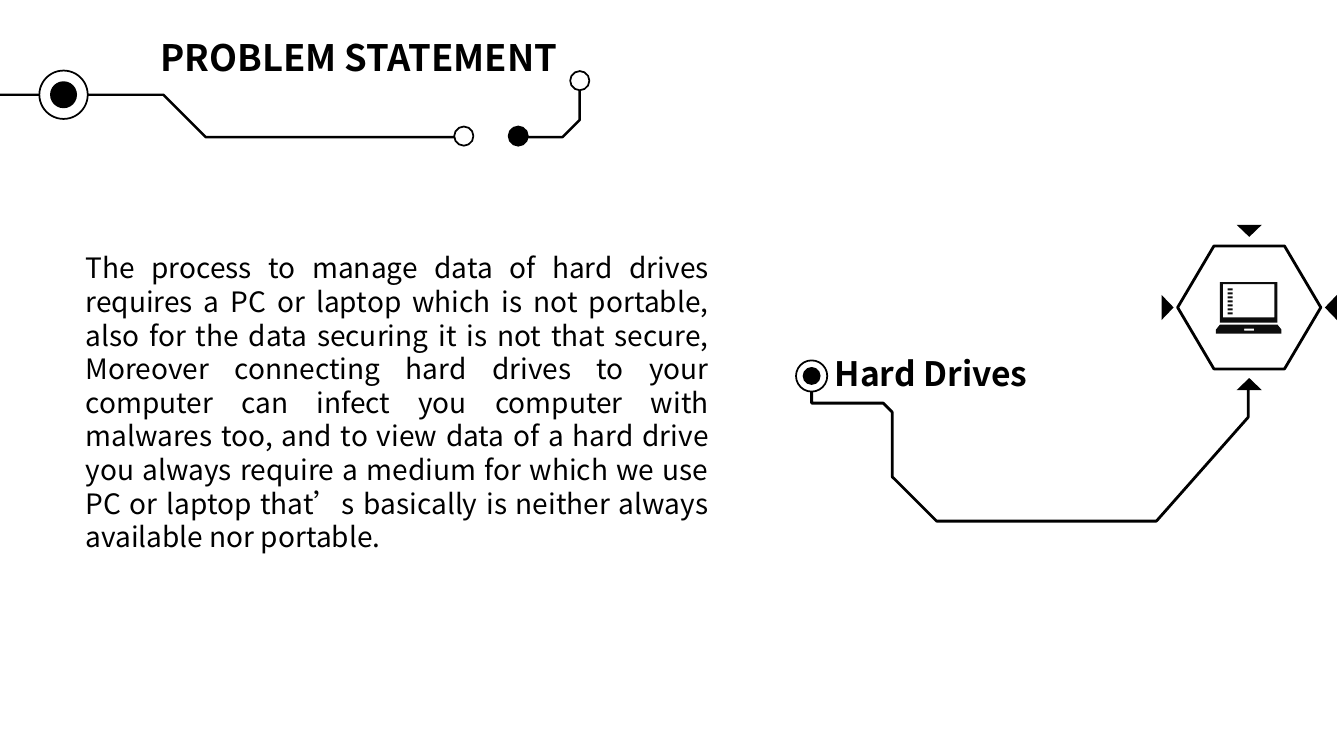
from lxml.etree import SubElement
from pptx import Presentation
from pptx.dml.color import RGBColor
from pptx.enum.shapes import MSO_SHAPE as Shape
from pptx.enum.text import PP_ALIGN as Align
from pptx.oxml.ns import qn
from pptx.util import Inches, Pt

FONT = "Noto Sans CJK SC"
BLACK = RGBColor(0x00, 0x00, 0x00)
WHITE = RGBColor(0xFF, 0xFF, 0xFF)
INK = RGBColor(0x0D, 0x0D, 0x0D)

# text, (left, top, width, height), size, bold, alignment
TEXTS = [
    ("PROBLEM STATEMENT", (-2.42, 0.3, 11.96, 0.54), 26, True, Align.CENTER),
    ("Hard Drives", (8.18, 3.45, 2.43, 0.5), 24, True, Align.LEFT),
    ("The process to manage data of hard drives requires a PC or laptop which is "
     "not portable, also for the data securing it is not that secure, Moreover "
     "connecting hard drives to your computer can infect you computer with malwares "
     "too, and to view data of a hard drive you always require a medium for which we "
     "use PC or laptop that’s basically is neither always available nor portable.",
     (0.75, 2.44, 6.38, 3.8), 20, False, Align.JUSTIFY),
]

# points, line width
TRACES = [
    ([(0, 0.94), (1.62, 0.94), (2.04, 1.36), (4.52, 1.36)], 1.75),
    ([(5.75, 0.85), (5.75, 1.19), (5.58, 1.36), (5.22, 1.36)], 1.75),
    ([(12.38, 3.83), (12.38, 4.14), (11.47, 5.17), (9.29, 5.17), (8.85, 4.73),
      (8.85, 4.09), (8.76, 4), (8.05, 4), (8.05, 3.84)], 2),
]

# centre x, centre y, diameter, fill
NODES = [
    (0.63, 0.94, 0.48, WHITE), (0.63, 0.94, 0.25, BLACK),
    (4.6, 1.35, 0.19, WHITE), (5.14, 1.35, 0.19, BLACK), (5.75, 0.8, 0.19, WHITE),
    (8.05, 3.73, 0.31, WHITE), (8.05, 3.73, 0.16, BLACK),
]

HEXAGON_X, HEXAGON_Y = 12.39, 3.05
HEXAGON_SIZE = (1.42, 1.22)
POINTER_SIZE = (0.25, 0.12)
# offset from the hexagon's centre, rotation
POINTERS = [(0, 0.76, 0), (0, -0.76, 180), (-0.81, 0, 90), (0.81, 0, 270)]

# each laptop part is an outline followed by its hole
LAPTOP = [
    [[(12.71, 3.27), (12.71, 3.31), (12.06, 3.31), (12.06, 3.27), (12.1, 3.22),
      (12.67, 3.22)],
     [(12.44, 3.28), (12.44, 3.26), (12.34, 3.26), (12.34, 3.28)]],
    [[(12.67, 2.8), (12.67, 3.2), (12.1, 3.2), (12.1, 2.8)],
     [(12.64, 3.15), (12.64, 2.82), (12.13, 2.82), (12.13, 3.15)]],
]
SCREEN_ROWS, FIRST_ROW, ROW_PITCH = 7, 2.86, 0.04
ROW_SIZE = (0.05, 0.02)

deck = Presentation()
deck.slide_width, deck.slide_height = Inches(13.33), Inches(7.5)
slide = deck.slides.add_slide(deck.slide_layouts[6])


def paint(shape, fill=None, line=None):
    """Fill the shape and outline it in black, leaving out whichever is None."""
    shape.shadow.inherit = False
    if fill is None:
        shape.fill.background()
    else:
        shape.fill.solid()
        shape.fill.fore_color.rgb = fill
    if line is None:
        shape.line.fill.background()
    else:
        shape.line.color.rgb = BLACK
        shape.line.width = Pt(line)


def add_centred(kind, x, y, size, fill=None, line=None):
    width, height = size
    shape = slide.shapes.add_shape(kind, Inches(x - width / 2), Inches(y - height / 2),
                                   Inches(width), Inches(height))
    paint(shape, fill, line)
    return shape


def add_outline(contours, closed, fill=None, line=None):
    builder = None
    for contour in contours:
        start, *rest = [(Inches(x), Inches(y)) for x, y in contour]
        if builder is None:
            builder = slide.shapes.build_freeform(*start, scale=1.0)
        else:
            builder.move_to(*start)
        builder.add_line_segments(rest, close=closed)
    paint(builder.convert_to_shape(), fill, line)


def add_text(text, box, size, bold, alignment):
    frame = slide.shapes.add_textbox(*map(Inches, box)).text_frame
    frame.word_wrap = True
    frame.text = text
    paragraph = frame.paragraphs[0]
    paragraph.alignment = alignment
    paragraph.line_spacing = Pt(size * 1.2)
    font = paragraph.runs[0].font
    font.name, font.size, font.bold = FONT, Pt(size), bold
    font.color.rgb = BLACK
    SubElement(paragraph.runs[0].font._element, qn("a:ea"), typeface=FONT)


for dx, dy, rotation in POINTERS:
    pointer = add_centred(Shape.ISOSCELES_TRIANGLE, HEXAGON_X + dx, HEXAGON_Y + dy,
                          POINTER_SIZE, BLACK)
    pointer.rotation = rotation

for points, width in TRACES:
    add_outline([points], closed=False, line=width)
for x, y, diameter, fill in NODES:
    add_centred(Shape.OVAL, x, y, (diameter, diameter), fill, 1.25)

hexagon = add_centred(Shape.HEXAGON, HEXAGON_X, HEXAGON_Y, HEXAGON_SIZE, line=2)
hexagon.adjustments[0] = 0.295
for part in LAPTOP:
    add_outline(part, closed=True, fill=INK)
for row in range(SCREEN_ROWS):
    add_centred(Shape.RECTANGLE, 12.2, FIRST_ROW + row * ROW_PITCH + 0.01, ROW_SIZE, INK)

for entry in TEXTS:
    add_text(*entry)

deck.save("out.pptx")
